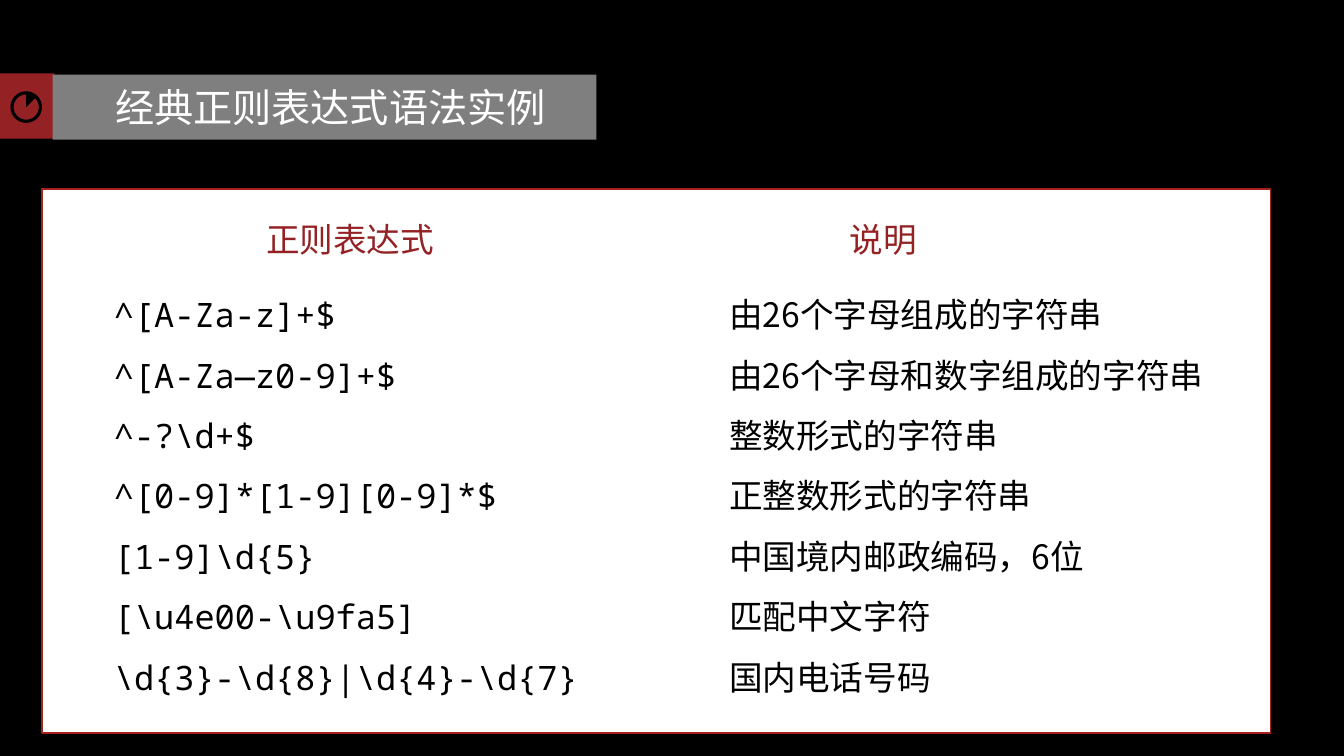
import math
from dataclasses import dataclass

import lxml.etree
import pptx
import pptx.dml.color
import pptx.enum.shapes
import pptx.enum.text
import pptx.oxml.ns
import pptx.util

PIXEL = 9525


@dataclass(frozen=True)
class Theme:
    """Colours, fonts and type sizes of the deck."""
    black: str = "000000"
    white: str = "FFFFFF"
    red: str = "942124"
    border: str = "A5221E"
    grey: str = "7F7F7F"
    sans: str = "Noto Sans CJK SC"
    mono: str = "Noto Sans Mono"
    title_size: int = 28
    body_size: int = 24


THEME = Theme()
TITLE = "经典正则表达式语法实例"
EXAMPLES = [
    ("^[A-Za-z]+$", "由26个字母组成的字符串"),
    ("^[A-Za—z0-9]+$", "由26个字母和数字组成的字符串"),
    (r"^-?\d+$", "整数形式的字符串"),
    ("^[0-9]*[1-9][0-9]*$", "正整数形式的字符串"),
    (r"[1-9]\d{5}", "中国境内邮政编码，6位"),
    (r"[\u4e00-\u9fa5]", "匹配中文字符"),
    (r"\d{3}-\d{8}|\d{4}-\d{7}", "国内电话号码"),
]


def px(length):
    """Turn a length in px into EMU."""
    return pptx.util.Emu(round(length * PIXEL))


def color(value):
    """Turn a hex string into a colour."""
    return pptx.dml.color.RGBColor.from_string(value)


def style_shape(shape, fill, line=None):
    """Give a shape a flat fill and an optional thin line."""
    shape.shadow.inherit = False
    shape.fill.solid()
    shape.fill.fore_color.rgb = color(fill)
    if line:
        shape.line.color.rgb = color(line)
        shape.line.width = pptx.util.Pt(1)
    else:
        shape.line.fill.background()


def add_panel(page, box, fill, line=None):
    """Add a plain rectangle in the given box."""
    panel = page.shapes.add_shape(
        pptx.enum.shapes.MSO_SHAPE.RECTANGLE, *map(px, box))
    style_shape(panel, fill, line)


def write_lines(frame, lines, face, size, ink, spacing=None):
    """Write one left-aligned paragraph for each line."""
    for index, line in enumerate(lines):
        para = frame.add_paragraph() if index else frame.paragraphs[0]
        para.alignment = pptx.enum.text.PP_ALIGN.LEFT
        para.line_spacing = spacing
        span = para.add_run()
        span.text = line
        span.font.name = face
        span.font.size = pptx.util.Pt(size)
        span.font.color.rgb = color(ink)
        east_asian = lxml.etree.SubElement(
            span.font._element, pptx.oxml.ns.qn("a:ea"))
        east_asian.set("typeface", face)


def add_text(page, box, lines, face, ink, spacing=None, wrap=True):
    """Add a text box that fits its lines."""
    frame = page.shapes.add_textbox(*map(px, box)).text_frame
    frame.word_wrap = wrap
    frame.auto_size = pptx.enum.text.MSO_AUTO_SIZE.SHAPE_TO_FIT_TEXT
    write_lines(frame, lines, face, THEME.body_size, ink, spacing)


def arc_points(center, radius, start, end, steps=48):
    """List points on an arc, with angles in degrees clockwise from noon."""
    angles = [math.radians(start + (end - start) * step / steps)
              for step in range(steps + 1)]
    return [(px(center[0] + radius * math.sin(angle)),
             px(center[1] - radius * math.cos(angle))) for angle in angles]


def add_clock(page, center, outer, inner):
    """Draw a ring with a filled wedge between noon and half past one."""
    rim = arc_points(center, outer, 0, 360)
    hole = arc_points(center, inner, 360, 45) + [tuple(map(px, center))]
    builder = page.shapes.build_freeform(*rim[0], scale=1.0)
    builder.add_line_segments(rim[1:], close=True)
    builder.move_to(*hole[0])
    builder.add_line_segments(hole[1:], close=True)
    style_shape(builder.convert_to_shape(), THEME.black)


def add_heading(page, box):
    """Place the red tab, its clock and the grey title bar."""
    left, top, width, height = box
    tab = 50
    add_panel(page, (left, top, tab + 2, height), THEME.red)
    add_panel(page, (left + tab, top + 1, width - tab, height), THEME.grey)
    title = page.shapes.title
    title.left, title.top, title.width, title.height = map(
        px, (left + 2 * tab, top + 5, width - 2 * tab, height - 8))
    frame = title.text_frame
    frame.word_wrap = True
    frame.auto_size = pptx.enum.text.MSO_AUTO_SIZE.NONE
    frame.vertical_anchor = pptx.enum.text.MSO_ANCHOR.MIDDLE
    write_lines(frame, [TITLE], THEME.sans, THEME.title_size, THEME.white)
    title.element.getparent().append(title.element)
    add_clock(page, (left + tab // 2, top + height // 2 + 1), 15, 12)


def add_examples(page, box):
    """Place the white card with its two headed columns."""
    left, top, width, height = box
    add_panel(page, box, THEME.white, THEME.border)
    expressions, meanings = zip(*EXAMPLES)
    columns = [
        ("正则表达式", 204, 180, expressions, THEME.mono, 59, 469),
        ("说明", 760, 84, meanings, THEME.sans, 645, 595),
    ]
    for label, label_x, label_width, lines, face, body_x, body_width in columns:
        add_text(page, (left + body_x, top + 76, body_width, height - 101),
                 lines, face, THEME.black, spacing=1.5)
        add_text(page, (left + label_x, top + 24, label_width, 48),
                 [label], THEME.sans, THEME.red, wrap=False)


def build_page(deck):
    """Build the slide of regular expression examples."""
    page = deck.slides.add_slide(deck.slide_layouts[5])
    page.background.fill.solid()
    page.background.fill.fore_color.rgb = color(THEME.black)
    add_examples(page, (40, 180, 1170, 518))
    add_heading(page, (0, 70, 568, 62))


def main():
    """Create and save the deck."""
    deck = pptx.Presentation()
    deck.slide_width, deck.slide_height = px(1280), px(720)
    build_page(deck)
    deck.save("out.pptx")


if __name__ == "__main__":
    main()
